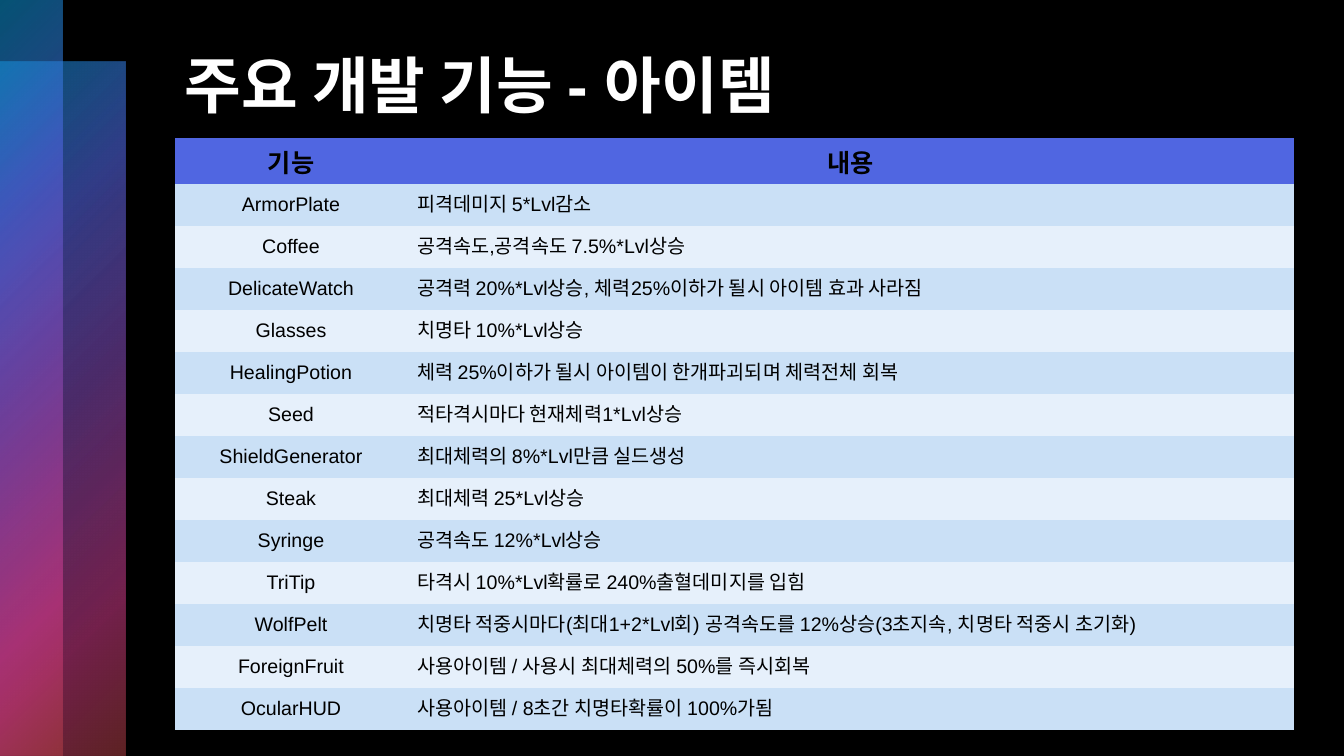
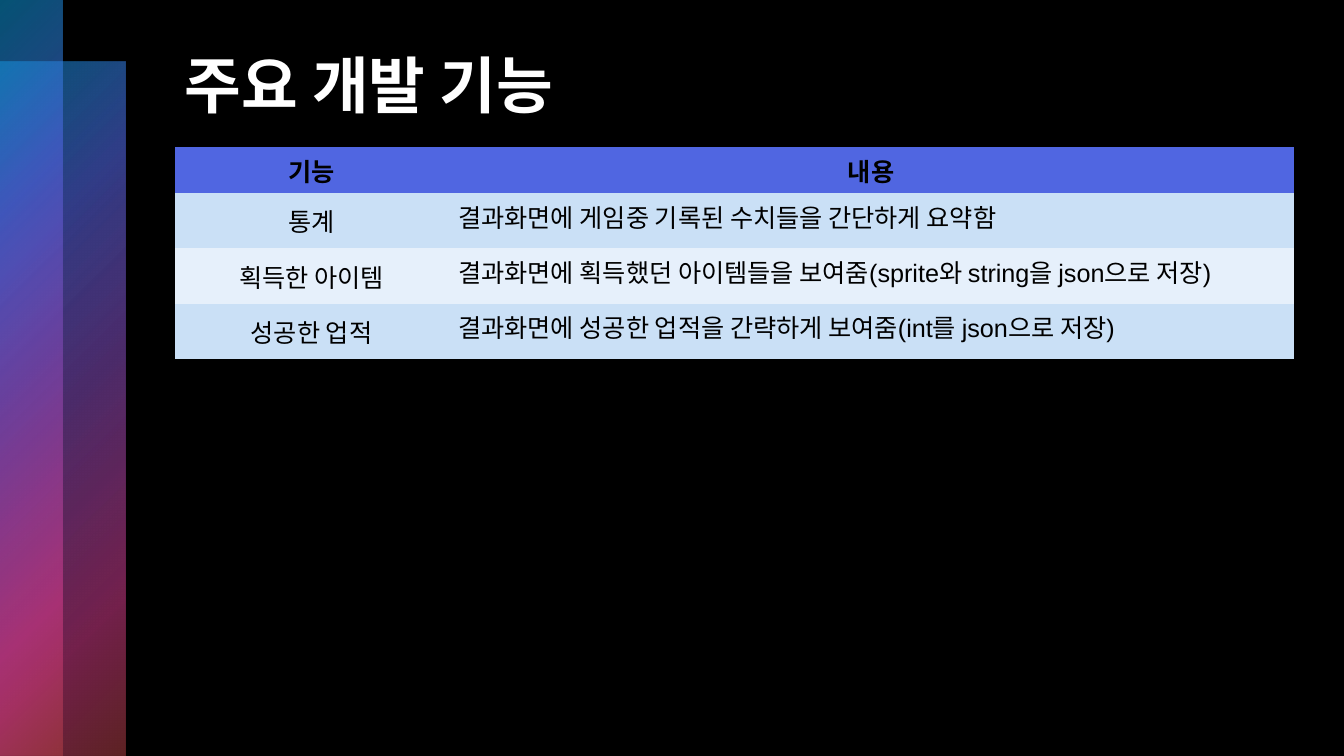
from lxml import etree
from pptx import Presentation
from pptx.dml.color import RGBColor
from pptx.enum.shapes import MSO_SHAPE
from pptx.enum.text import MSO_ANCHOR, PP_ALIGN
from pptx.oxml.ns import qn
from pptx.util import Emu, Pt

RECTANGLE = MSO_SHAPE.RECTANGLE
TOP, MIDDLE = MSO_ANCHOR.TOP, MSO_ANCHOR.MIDDLE
LEFT, CENTER = PP_ALIGN.LEFT, PP_ALIGN.CENTER

BLACK = RGBColor(0x00, 0x00, 0x00)
WHITE = RGBColor(0xFF, 0xFF, 0xFF)
SKY = RGBColor(0x0B, 0xA5, 0xE8)
INDIGO = RGBColor(0x50, 0x66, 0xE1)
PURPLE = RGBColor(0x89, 0x4E, 0xC0)
PINK = RGBColor(0xE5, 0x41, 0x96)
RED = RGBColor(0xBE, 0x44, 0x49)
BANDS = (RGBColor(0xCA, 0xE0, 0xF6), RGBColor(0xE6, 0xF0, 0xFB))

FONT = "Arial"
PLAIN_TABLE = "{2D5ABB26-0587-4C30-8999-92F81FD0307C}"
PAGE_BOX = (0, 0, 1344, 756)
TITLE_BOX = (175, 50, 1045, 88)
HEADINGS = ("기능", "내용")
HEADER_HEIGHT = 46

ITEMS = (
    ("ArmorPlate", "피격데미지 5*Lvl감소"),
    ("Coffee", "공격속도,공격속도 7.5%*Lvl상승"),
    ("DelicateWatch", "공격력 20%*Lvl상승, 체력25%이하가 될시 아이템 효과 사라짐"),
    ("Glasses", "치명타 10%*Lvl상승"),
    ("HealingPotion", "체력 25%이하가 될시 아이템이 한개파괴되며 체력전체 회복"),
    ("Seed", "적타격시마다 현재체력1*Lvl상승"),
    ("ShieldGenerator", "최대체력의 8%*Lvl만큼 실드생성"),
    ("Steak", "최대체력 25*Lvl상승"),
    ("Syringe", "공격속도 12%*Lvl상승"),
    ("TriTip", "타격시 10%*Lvl확률로 240%출혈데미지를 입힘"),
    ("WolfPelt", "치명타 적중시마다(최대1+2*Lvl회) 공격속도를 12%상승"
                 "(3초지속, 치명타 적중시 초기화)"),
    ("ForeignFruit", "사용아이템 / 사용시 최대체력의 50%를 즉시회복"),
    ("OcularHUD", "사용아이템 / 8초간 치명타확률이 100%가됨"),
)
RESULTS = (
    ("통계", "결과화면에 게임중 기록된 수치들을 간단하게 요약함"),
    ("획득한 아이템", "결과화면에 획득했던 아이템들을 보여줌(sprite와 string을 json으로 저장)"),
    ("성공한 업적", "결과화면에 성공한 업적을 간략하게 보여줌(int를 json으로 저장)"),
)


def px(length):
    return Emu(round(length * 914400 / 100.8))


def write(frame, text, size, color=BLACK, bold=False, align=LEFT, spacing=1.0):
    para = frame.paragraphs[0]
    para.alignment = align
    para.line_spacing = spacing
    span = para.add_run()
    span.text = text
    span.font.name = FONT
    span.font.size = Pt(size)
    span.font.bold = bold
    span.font.color.rgb = color


def add_strip(page, box, middle_stop):
    """Translucent strip whose gradient spreads from its top left corner."""
    strip = page.shapes.add_shape(RECTANGLE, *map(px, box))
    strip.shadow.inherit = False
    strip.line.fill.background()
    gradient = etree.Element(qn("a:gradFill"), rotWithShape="1")
    stops = etree.SubElement(gradient, qn("a:gsLst"))
    for position, color, opacity in (
        (0, SKY, 50), (25, INDIGO, 60), (middle_stop, PURPLE, 55),
        (81, PINK, 50), (99, RED, 50), (100, RED, 50),
    ):
        stop = etree.SubElement(stops, qn("a:gs"), pos=str(position * 1000))
        tint = etree.SubElement(stop, qn("a:srgbClr"), val=str(color))
        etree.SubElement(tint, qn("a:alpha"), val=str(opacity * 1000))
    circle = etree.SubElement(gradient, qn("a:path"), path="circle")
    etree.SubElement(circle, qn("a:fillToRect"), r="100000", b="100000")
    strip._element.spPr.find(qn("a:prstGeom")).addnext(gradient)


def add_side_strips(page, box):
    left, top, width, height = box
    step = 62
    add_strip(page, (left, top + step, 2 * step + 1, height - step), 50)
    add_strip(page, (left, top, step + 1, height), 49)


def add_title(page, box, text):
    frame = page.shapes.add_textbox(*map(px, box)).text_frame
    frame.word_wrap = True
    frame.vertical_anchor = TOP
    write(frame, text, 44, color=WHITE, bold=True, spacing=0.9)


def add_feature_table(page, box, rows, name_width, size):
    left, top, width, height = box
    shape = page.shapes.add_table(len(rows) + 1, 2, *map(px, box))
    table = shape.table
    table._tbl.tblPr.find(qn("a:tableStyleId")).text = PLAIN_TABLE
    for column, column_width in zip(table.columns, (name_width, width - name_width)):
        column.width = px(column_width)
    row_height = (height - HEADER_HEIGHT) / len(rows)

    for row_index, texts in enumerate((HEADINGS, *rows)):
        header = row_index == 0
        table.rows[row_index].height = px(HEADER_HEIGHT if header else row_height)
        for column_index, text in enumerate(texts):
            cell = table.cell(row_index, column_index)
            centered = header or column_index == 0
            cell.fill.solid()
            cell.fill.fore_color.rgb = INDIGO if header else BANDS[(row_index - 1) % 2]
            cell.vertical_anchor = MIDDLE if centered else TOP
            write(cell.text_frame, text, 18 if header else size, bold=header,
                  align=CENTER if centered else LEFT)


def add_feature_page(deck, title, table_box, rows, name_width, size):
    page = deck.slides.add_slide(deck.slide_layouts[6])
    page.background.fill.solid()
    page.background.fill.fore_color.rgb = BLACK
    add_side_strips(page, PAGE_BOX)
    add_title(page, TITLE_BOX, title)
    add_feature_table(page, table_box, rows, name_width, size)


def main():
    deck = Presentation()
    deck.slide_width, deck.slide_height = map(px, PAGE_BOX[2:])
    add_feature_page(deck, "주요 개발 기능 - 아이템", (175, 138, 1119, 592),
                     ITEMS, name_width=232, size=14)
    add_feature_page(deck, "주요 개발 기능", (175, 147, 1119, 212),
                     RESULTS, name_width=273, size=18)
    deck.save("out.pptx")


if __name__ == "__main__":
    main()
